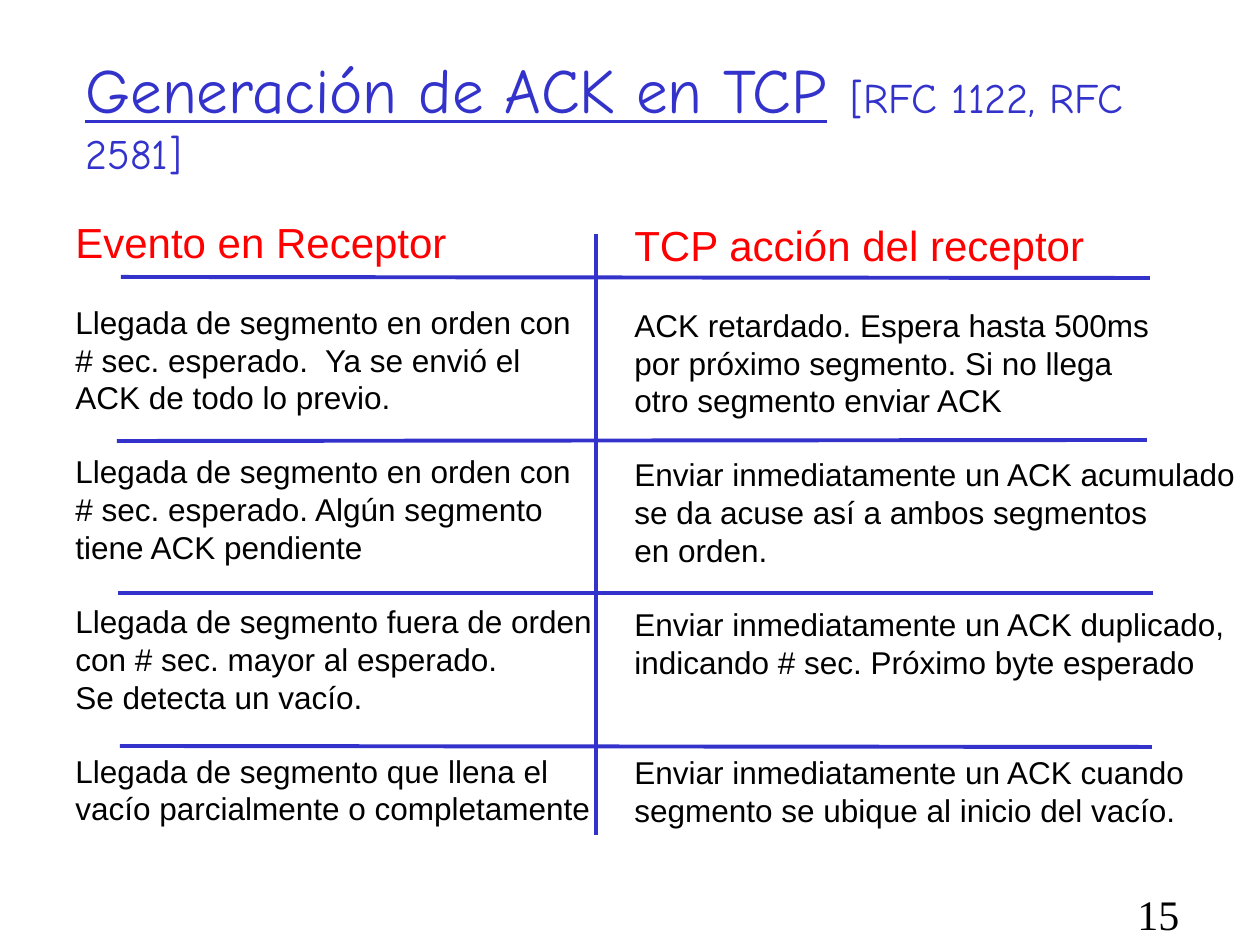
"""Build a slide on how a TCP receiver generates ACKs."""
from lxml.etree import SubElement
from pptx import Presentation
from pptx.dml.color import RGBColor
from pptx.enum.shapes import MSO_CONNECTOR as Connector
from pptx.enum.text import MSO_ANCHOR as Anchor, MSO_AUTO_SIZE as AutoSize
from pptx.oxml.ns import qn
from pptx.util import Emu, Pt

BLUE = RGBColor(0x33, 0x33, 0xCC)
RED = RGBColor(0xFF, 0x00, 0x00)
BLACK = RGBColor(0x00, 0x00, 0x00)
LINE_HEIGHT = 20.7
ROW_LINES = 3


def px(length):
    return Emu(round(length * 914400 / 126))


def write(para, text, size, color, font="Arial", underline=None):
    for index, line in enumerate(text.split("\n")):
        if index:
            para.add_line_break()
        span = para.add_run()
        span.text = line
        span.font.size = Pt(size)
        span.font.name = font
        span.font.color.rgb = color
        span.font.underline = underline


deck = Presentation()
deck.slide_width, deck.slide_height = px(1260), px(945)
page = deck.slides.add_slide(deck.slide_layouts[6])

title = page.shapes.add_textbox(px(73), px(32), px(1071), px(158)).text_frame
title.word_wrap = True
title.vertical_anchor = Anchor.MIDDLE
heading = title.paragraphs[0]
write(heading, "Generación de ACK en TCP", 36, BLUE, font="Comic Neue", underline=True)
write(heading, " ", 40, BLUE, font="Comic Neue", underline=False)
write(heading, "[RFC 1122, RFC 2581]", 24, BLUE, font="Comic Neue", underline=False)

columns = [
    ((63, 210, 542, 668), "Evento en Receptor", [
        "Llegada de segmento en orden con\n# sec. esperado.  Ya se envió el\nACK de todo lo previo.",
        "Llegada de segmento en orden con\n# sec. esperado. Algún segmento\ntiene ACK pendiente",
        "Llegada de segmento fuera de orden\ncon # sec. mayor al esperado. \nSe detecta un vacío.",
        "Llegada de segmento que llena el\nvacío parcialmente o completamente",
    ]),
    ((622, 213, 627, 630), "TCP acción del receptor", [
        "ACK retardado. Espera hasta 500ms\npor próximo segmento. Si no llega\notro segmento enviar ACK",
        "Enviar inmediatamente un ACK acumulado\nse da acuse así a ambos segmentos\nen orden.",
        "Enviar inmediatamente un ACK duplicado,\nindicando # sec. Próximo byte esperado",
        "Enviar inmediatamente un ACK cuando \nsegmento se ubique al inicio del vacío.",
    ]),
]
for bounds, header, entries in columns:
    frame = page.shapes.add_textbox(*map(px, bounds)).text_frame
    frame.word_wrap = False
    frame.auto_size = AutoSize.SHAPE_TO_FIT_TEXT
    write(frame.paragraphs[0], header, 24, RED)
    gap_lines = 1
    for entry in entries:
        para = frame.add_paragraph()
        para.space_before = Pt(gap_lines * LINE_HEIGHT)
        write(para, entry, 18, BLACK)
        gap_lines = ROW_LINES - entry.count("\n")

rules = [
    (121, 277, 1150, 278),
    (117, 441, 1147, 440),
    (118, 593, 1153, 593),
    (120, 746, 1152, 747),
    (596, 234, 596, 835),
]
for ends in rules:
    rule = page.shapes.add_connector(Connector.STRAIGHT, *map(px, ends))
    rule.line.color.rgb = BLUE
    rule.line.width = Pt(2.25)
    SubElement(rule._element.spPr, qn("a:effectLst"))

number = page.shapes.add_textbox(px(1125), px(882), px(93), px(63)).text_frame
number.word_wrap = True
write(number.paragraphs[0], "15", 24, BLACK, font="Times New Roman")

deck.save("out.pptx")
